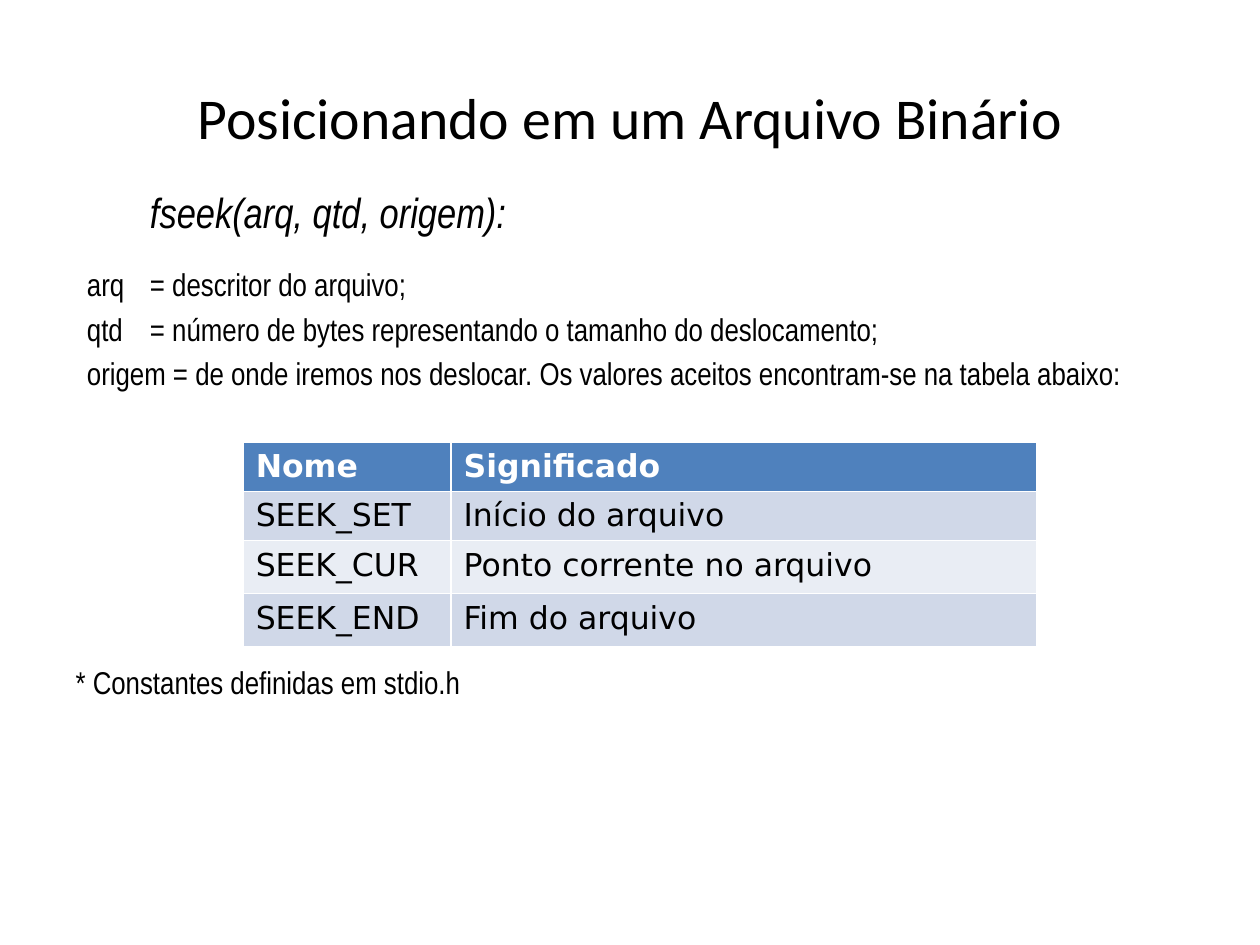
from pptx import Presentation, util as u
from pptx.dml.color import RGBColor
from pptx.enum import text as t
from pptx.oxml.ns import qn
from lxml import etree

# Content
TITLE = "Posicionando em um Arquivo Binário"
# text, size, italic, left indent (in), space before, space after (pt)
BODY = [
    ("\tfseek(arq, qtd, origem):", 24, True, 0.09, 5, 12),
    ("arq\t= descritor do arquivo;", 18, False, 0.09, 4, 0),
    ("qtd\t= número de bytes representando o tamanho do deslocamento;",
     18, False, 0.09, 4, 0),
    ("origem = de onde iremos nos deslocar. Os valores aceitos "
     "encontram-se na tabela abaixo:", 18, False, 0.09, 4, 0),
    ("* Constantes definidas em stdio.h", 18, False, 0, 155, 0),
]
ROWS = [
    ("Nome", "Significado"),
    ("SEEK_SET", "Início do arquivo"),
    ("SEEK_CUR", "Ponto corrente no arquivo"),
    ("SEEK_END", "Fim do arquivo"),
]
COLS, HIGHS = (1.65, 4.65), (0.32, 0.38, 0.42, 0.42)
INK = {"text": "000000", "head": "4F81BD", "light": "FFFFFF",
       "odd": "D0D8E8", "even": "E9EDF4"}


def color(key):
    return RGBColor.from_string(INK[key])


def style(font, ink="text", **form):
    for key, val in form.items():
        setattr(font, key, val)
    font.color.rgb = color(ink)


def place(shape, *box):
    for key, val in zip(("left", "top", "width", "height"), box):
        setattr(shape, key, u.Inches(val))


deck = Presentation()
deck.slide_width, deck.slide_height = u.Inches(10), u.Inches(7.5)
slide = deck.slides.add_slide(deck.slide_layouts[1])
title, body = slide.placeholders

# Title
place(title, 0.5, 0.3, 9, 1.25)
title.text_frame.vertical_anchor = t.MSO_ANCHOR.MIDDLE
para = title.text_frame.paragraphs[0]
para.alignment = t.PP_ALIGN.CENTER
run = para.add_run()
run.text = TITLE
style(run.font, name="Calibri", size=u.Pt(33))

# Definitions and footnote
place(body, 0.5, 1.43, 9, 4.95)
frame = body.text_frame
frame.auto_size = t.MSO_AUTO_SIZE.NONE
for i, (line, size, slant, left, before, after) in enumerate(BODY):
    para = frame.add_paragraph() if i else frame.paragraphs[0]
    para.space_before, para.space_after = u.Pt(before), u.Pt(after)
    props = para._p.get_or_add_pPr()
    props.set("marL", str(u.Inches(left)))
    props.set("indent", "0")
    etree.SubElement(props, qn("a:buNone"))
    run = para.add_run()
    run.text = line
    style(run.font, name="Arial Narrow", size=u.Pt(size), italic=slant)

# Table of origins
box = [u.Inches(n) for n in (1.93, 3.51, sum(COLS), sum(HIGHS))]
table = slide.shapes.add_table(len(ROWS), len(COLS), *box).table
for col, wide in zip(table.columns, COLS):
    col.width = u.Inches(wide)
for r, (row, high) in enumerate(zip(ROWS, HIGHS)):
    table.rows[r].height = u.Inches(high)
    for c, word in enumerate(row):
        cell = table.cell(r, c)
        cell.fill.solid()
        cell.fill.fore_color.rgb = color(
            "head" if r == 0 else "odd" if r % 2 else "even")
        run = cell.text_frame.paragraphs[0].add_run()
        run.text = word
        style(run.font, "text" if r else "light",
              name="DejaVu Sans", size=u.Pt(18), bold=r == 0)

deck.save("out.pptx")
